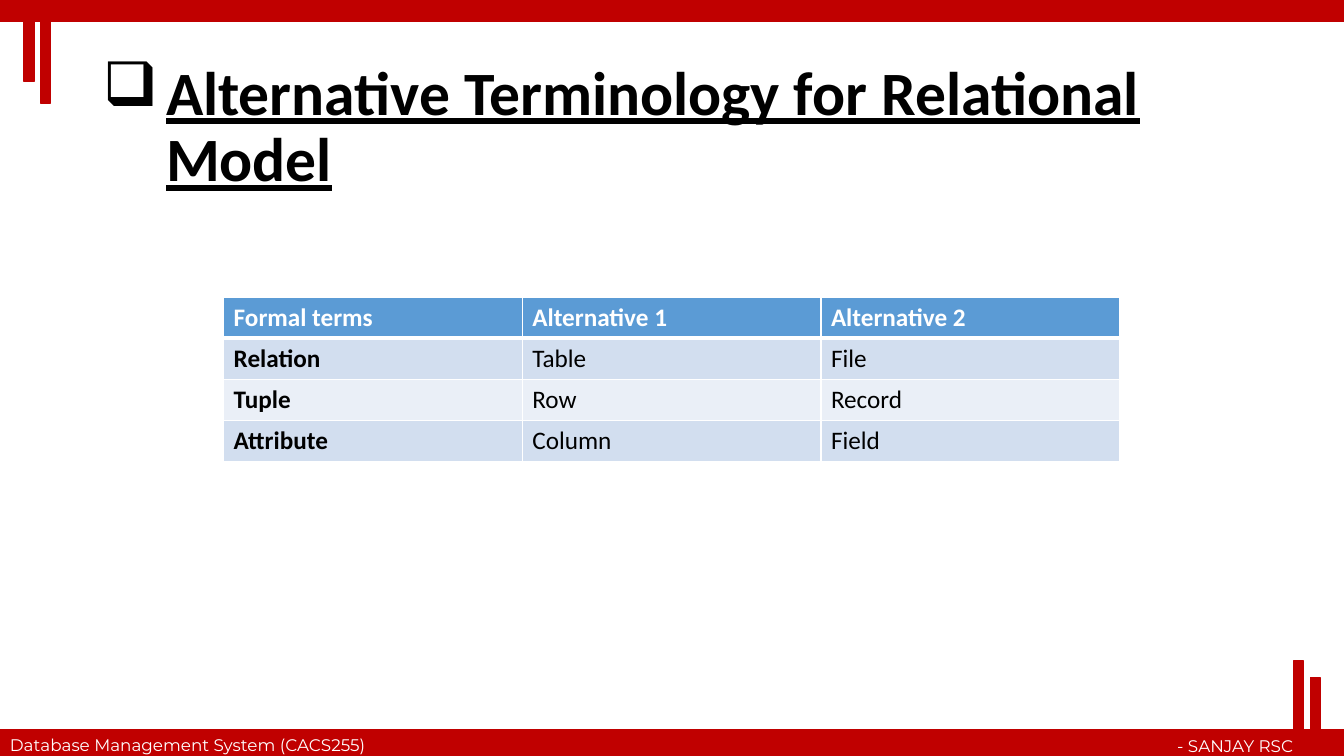
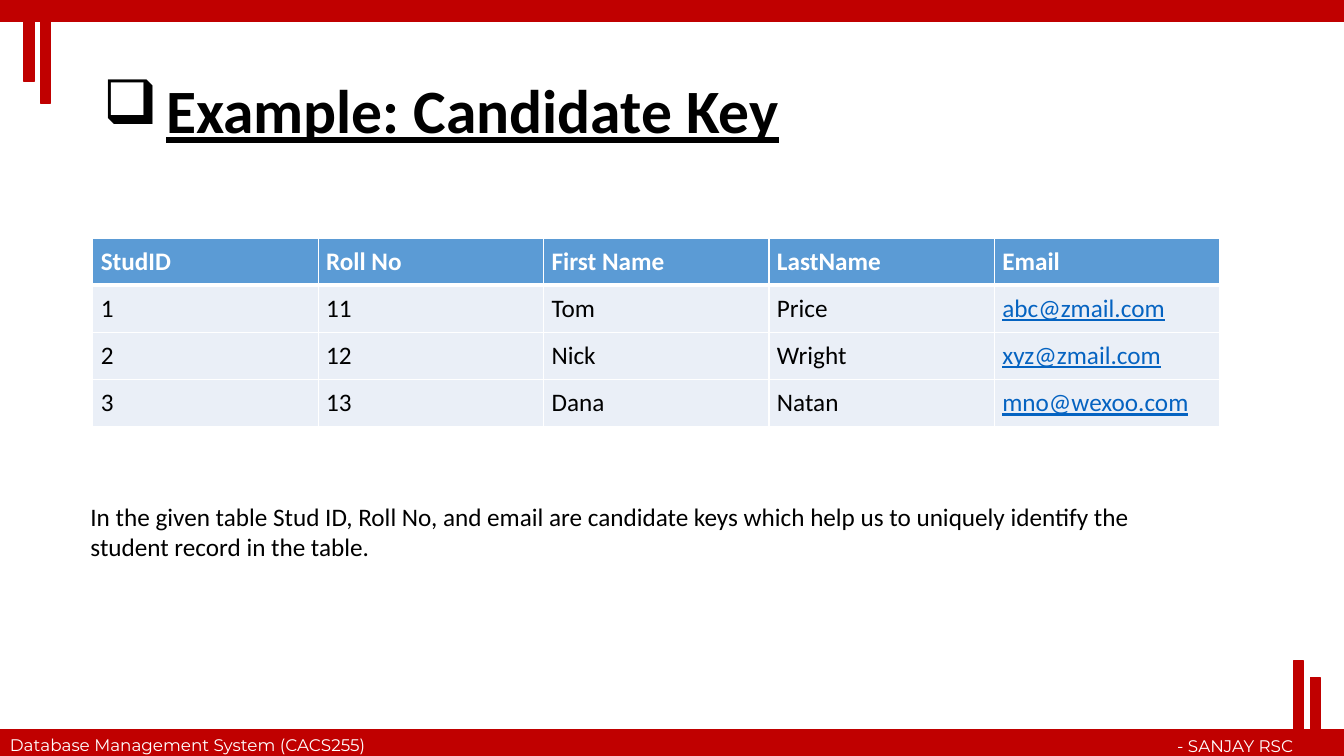
import lxml.etree
import pptx
import pptx.dml.color
import pptx.enum.shapes
import pptx.enum.text
import pptx.oxml.ns
import pptx.util

Cm = pptx.util.Cm
Pt = pptx.util.Pt
ALIGN = pptx.enum.text.PP_ALIGN

COLORS = {
    "brand": "C00000", "text": "000000", "white": "FFFFFF", "link": "0563C1",
    "header": "5B9BD5", "dark_row": "D2DEEF", "light_row": "EAEFF7",
}
SLIDE_WIDTH, SLIDE_HEIGHT = 33.87, 19.05

BARS = [
    (0, 18.39, SLIDE_WIDTH, 0.66),
    (0, 0, SLIDE_WIDTH, 0.53),
    (1.02, 0.03, 0.25, 2.57),
    (0.61, 0.08, 0.25, 1.98),
    (32.61, 16.64, 0.23, 2.39),
    (33.02, 17.07, 0.25, 1.98),
]
FOOTERS = [
    ("Database Management System (CACS255)", (0, 18.39, 10.57, 0.76), ALIGN.LEFT),
    ("- SANJAY RSC", (24.64, 18.42, 8.2, 0.76), ALIGN.RIGHT),
]
SLIDES = [
    {
        "title": "Alternative Terminology for Relational Model",
        "title_top": 1.4,
        "table": {
            "left": 5.64, "top": 7.49, "width": 22.58, "row_height": 1.03,
            "margins": (0.25, 0.13), "bands": ("dark_row", "light_row"),
            "bold_columns": {0}, "link_columns": set(),
            "rows": [
                ("Formal terms", "Alternative 1", "Alternative 2"),
                ("Relation", "Table", "File"),
                ("Tuple", "Row", "Record"),
                ("Attribute", "Column", "Field"),
            ],
        },
    },
    {
        "title": "Example: Candidate Key",
        "title_top": 1.02,
        "table": {
            "left": 2.34, "top": 6, "width": 28.4, "row_height": 1.19,
            "margins": (0.2, 0.2), "bands": ("light_row",),
            "bold_columns": set(), "link_columns": {4},
            "rows": [
                ("StudID", "Roll No", "First Name", "LastName", "Email"),
                ("1", "11", "Tom", "Price", "abc@zmail.com"),
                ("2", "12", "Nick", "Wright", "xyz@zmail.com"),
                ("3", "13", "Dana", "Natan", "mno@wexoo.com"),
            ],
        },
        "note": "In the given table Stud ID, Roll No, and email are candidate keys "
                "which help us to uniquely identify the student record in the table.",
    },
]


def rgb(color):
    return pptx.dml.color.RGBColor.from_string(COLORS[color])


def add_element(parent, tag, **attributes):
    return lxml.etree.SubElement(parent, pptx.oxml.ns.qn(tag), attributes)


def style(paragraph, size, color="text", face="Calibri", bold=False, underline=False):
    font = paragraph.font
    font.size, font.name, font.bold, font.underline = Pt(size), face, bold, underline
    font.color.rgb = rgb(color)


def add_text(slide, text, box, size, color="text", face="Calibri", align=ALIGN.LEFT):
    textbox = slide.shapes.add_textbox(*map(Cm, box))
    frame = textbox.text_frame
    frame.word_wrap = True
    frame.text = text
    paragraph = frame.paragraphs[0]
    paragraph.alignment = align
    style(paragraph, size, color, face)
    return textbox


def add_bar(slide, box):
    bar = slide.shapes.add_shape(pptx.enum.shapes.MSO_SHAPE.RECTANGLE, *map(Cm, box))
    bar.shadow.inherit = False
    bar.fill.solid()
    bar.fill.fore_color.rgb = rgb("brand")
    bar.line.color.rgb = rgb("brand")
    bar.line.width = Pt(1)
    return bar


def decorate_master(master, slide):
    decorations = [add_bar(slide, box) for box in BARS]
    decorations += [add_text(slide, text, box, 12, "white", "Montserrat", align)
                    for text, box, align in FOOTERS]
    master_tree = master.placeholders[0].element.getparent()
    for number, decoration in enumerate(decorations, 100):
        decoration.element.xpath(".//p:cNvPr")[0].set("id", str(number))
        master_tree.append(decoration.element)


def set_title(slide, text, top):
    title = slide.shapes.title
    title.left, title.top, title.width, title.height = map(Cm, (2.34, top, 29.21, 3.68))
    frame = title.text_frame
    frame.text = text
    frame.word_wrap = True
    frame.auto_size = pptx.enum.text.MSO_AUTO_SIZE.NONE
    frame.vertical_anchor = pptx.enum.text.MSO_ANCHOR.MIDDLE
    paragraph = frame.paragraphs[0]
    properties = paragraph._p.get_or_add_pPr()
    indent = Cm(1.59)
    properties.set("marL", str(indent))
    properties.set("indent", str(-indent))
    add_element(properties, "a:buChar", char="❑")
    paragraph.alignment = ALIGN.LEFT
    paragraph.line_spacing = 0.9
    style(paragraph, 44, bold=True, underline=True)


def set_borders(cell, row_index):
    properties = cell._tc.get_or_add_tcPr()
    widths = {"L": 1, "R": 1, "T": 3 if row_index == 1 else 1, "B": 3 if row_index == 0 else 1}
    for side, width in widths.items():
        border = add_element(properties, f"a:ln{side}", w=str(Pt(width)))
        fill = add_element(border, "a:solidFill")
        add_element(fill, "a:srgbClr", val=COLORS["white"])


def add_grid(slide, grid):
    rows, row_height = grid["rows"], grid["row_height"]
    box = grid["left"], grid["top"], grid["width"], row_height * len(rows)
    table = slide.shapes.add_table(len(rows), len(rows[0]), *map(Cm, box)).table
    table.horz_banding = False
    for r, row in enumerate(rows):
        table.rows[r].height = Cm(row_height)
        band = grid["bands"][(r - 1) % len(grid["bands"])] if r else "header"
        for c, text in enumerate(row):
            cell = table.cell(r, c)
            cell.text = text
            cell.margin_left = cell.margin_right = Cm(grid["margins"][0])
            cell.margin_top = cell.margin_bottom = Cm(grid["margins"][1])
            set_borders(cell, r)
            cell.fill.solid()
            cell.fill.fore_color.rgb = rgb(band)
            is_link = r > 0 and c in grid["link_columns"]
            color = "link" if is_link else "text" if r else "white"
            style(cell.text_frame.paragraphs[0], 18, color,
                  bold=r == 0 or c in grid["bold_columns"], underline=is_link)


def main():
    deck = pptx.Presentation()
    deck.slide_width, deck.slide_height = Cm(SLIDE_WIDTH), Cm(SLIDE_HEIGHT)
    title_only = deck.slide_layouts[5]
    for index, content in enumerate(SLIDES):
        slide = deck.slides.add_slide(title_only)
        if index == 0:
            decorate_master(deck.slide_master, slide)
        set_title(slide, content["title"], content["title_top"])
        add_grid(slide, content["table"])
        if "note" in content:
            add_text(slide, content["note"], (2.03, 12.5, 28.22, 1.8), 18)
    deck.save("out.pptx")


if __name__ == "__main__":
    main()
